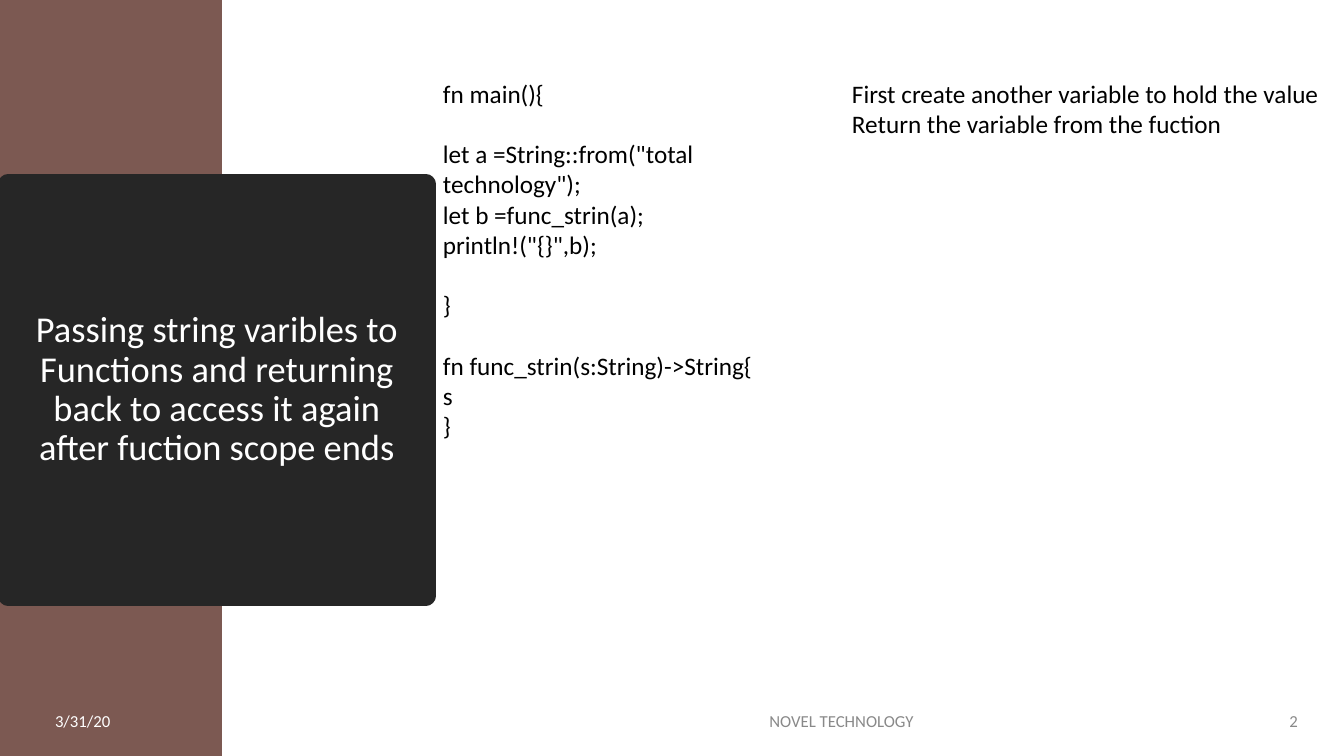
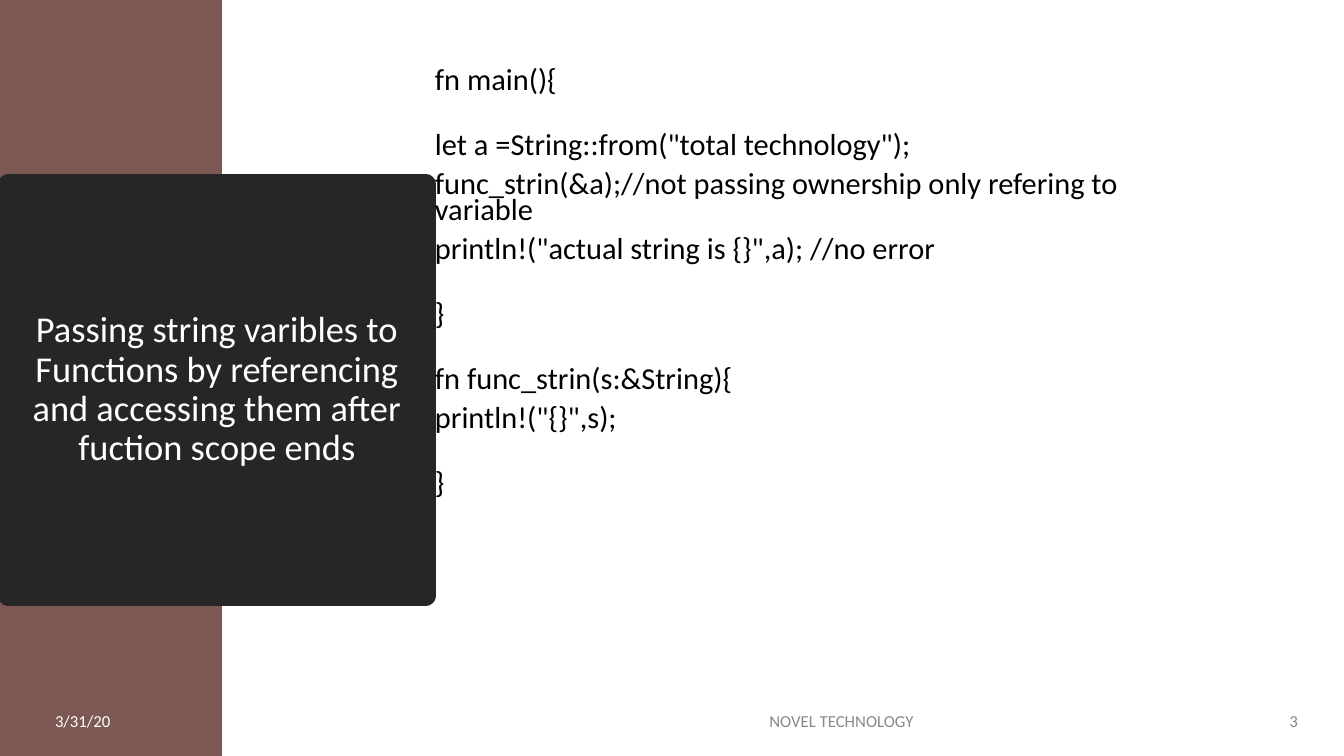
import pptx
import pptx.dml.color
import pptx.enum.shapes
import pptx.enum.text
import pptx.oxml.ns
import pptx.util
from lxml import etree

RGB = pptx.dml.color.RGBColor
ALIGN = pptx.enum.text.PP_ALIGN
ANCHOR = pptx.enum.text.MSO_ANCHOR

BROWN = RGB(0x7C, 0x59, 0x52)
CHARCOAL = RGB(0x26, 0x26, 0x26)
WHITE = RGB(0xFF, 0xFF, 0xFF)
GREY = RGB(0x89, 0x89, 0x89)
BLACK = RGB(0, 0, 0)

FONT = "Calibri"
SLIDE_W, SLIDE_H = 1344, 756
FOOTER_TOP, FOOTER_H = 701, 40

RETURN_CODE = [
    ["fn main(){"],
    ['let a =String::from("total technology");',
     "let b =func_strin(a);",
     'println!("{}",b);'],
    ["}"],
    ["fn func_strin(s:String)->String{", "s", "}"],
]
REFERENCE_CODE = [
    ["fn main(){"],
    ['let a =String::from("total technology");',
     "func_strin(&a);//not passing ownership only refering to variable",
     'println!("actual string is {}",a); //no error'],
    ["}"],
    ["fn func_strin(s:&String){", 'println!("{}",s);'],
    ["}"],
]


def px(n):
    return pptx.util.Emu(round(n * 12192000 / SLIDE_W))


def write(sp, groups, *, size, color=BLACK, align=ALIGN.LEFT,
          anchor=ANCHOR.TOP, wrap=True, inset=10, spacing=1.0,
          before=0, group_gap=0):
    """Write groups of paragraphs, with group_gap points ahead of each later group."""
    tf = sp.text_frame
    tf.word_wrap = wrap
    tf.vertical_anchor = anchor
    tf.margin_left = tf.margin_right = px(inset)
    lines = [(line, group_gap if i == 0 else before)
             for group in groups for i, line in enumerate(group)]
    for n, (line, gap) in enumerate(lines):
        p = tf.paragraphs[0] if n == 0 else tf.add_paragraph()
        p.alignment = align
        p.line_spacing = spacing
        p.space_before = pptx.util.Pt(gap if n else 0)
        r = p.add_run()
        r.text = line
        r.font.name = FONT
        r.font.size = pptx.util.Pt(size)
        r.font.color.rgb = color


def add_text(s, x, y, w, h, groups, **fmt):
    write(s.shapes.add_textbox(px(x), px(y), px(w), px(h)), groups, **fmt)


def add_rect(s, x, y, w, h, fill):
    sp = s.shapes.add_shape(pptx.enum.shapes.MSO_SHAPE.RECTANGLE,
                            px(x), px(y), px(w), px(h))
    sp.shadow.inherit = False
    sp.fill.solid()
    sp.fill.fore_color.rgb = fill
    sp.line.fill.background()
    return sp


def add_title(s, title):
    """Title on a dark panel whose thick outline rounds its corners."""
    sp = add_rect(s, 8, 184, 418, 412, CHARCOAL)
    sp.line.color.rgb = CHARCOAL
    sp.line.width = pptx.util.Pt(13.75)
    ln = sp.line._get_or_add_ln()
    etree.SubElement(ln, pptx.oxml.ns.qn("a:round"))
    write(sp, [[title]], size=26, color=WHITE, align=ALIGN.CENTER,
          anchor=ANCHOR.MIDDLE, inset=20, spacing=0.9)


def add_footer(s, number):
    for x, w, text, color, align in (
        (45, 163, "3/31/20", WHITE, ALIGN.LEFT),
        (454, 775, "NOVEL TECHNOLOGY", GREY, ALIGN.CENTER),
        (1247, 61, str(number), GREY, ALIGN.RIGHT),
    ):
        add_text(s, x, FOOTER_TOP, w, FOOTER_H, [[text]], size=12,
                 color=color, align=align, anchor=ANCHOR.MIDDLE)


def add_slide(prs, title, number):
    s = prs.slides.add_slide(prs.slide_layouts[6])
    add_rect(s, 0, 0, 222, SLIDE_H, BROWN)
    add_title(s, title)
    add_footer(s, number)
    return s


def main():
    prs = pptx.Presentation()
    prs.slide_width, prs.slide_height = px(SLIDE_W), px(SLIDE_H)

    s = add_slide(prs, "Passing string varibles to Functions and returning "
                       "back to access it again after fuction scope ends", 2)
    add_text(s, 433, 73, 383, 407, RETURN_CODE, size=18, group_gap=21.6)
    add_text(s, 842, 73, 493, 72,
             [["First create another variable to hold the value",
               "Return the variable from the fuction"]],
             size=18, wrap=False)

    s = add_slide(prs, "Passing string varibles to Functions by referencing "
                       "and accessing them after fuction scope ends", 3)
    add_text(s, 425, 65, 727, 450, REFERENCE_CODE, size=21.7,
             spacing=0.7, before=10, group_gap=28)

    prs.save("out.pptx")


if __name__ == "__main__":
    main()
